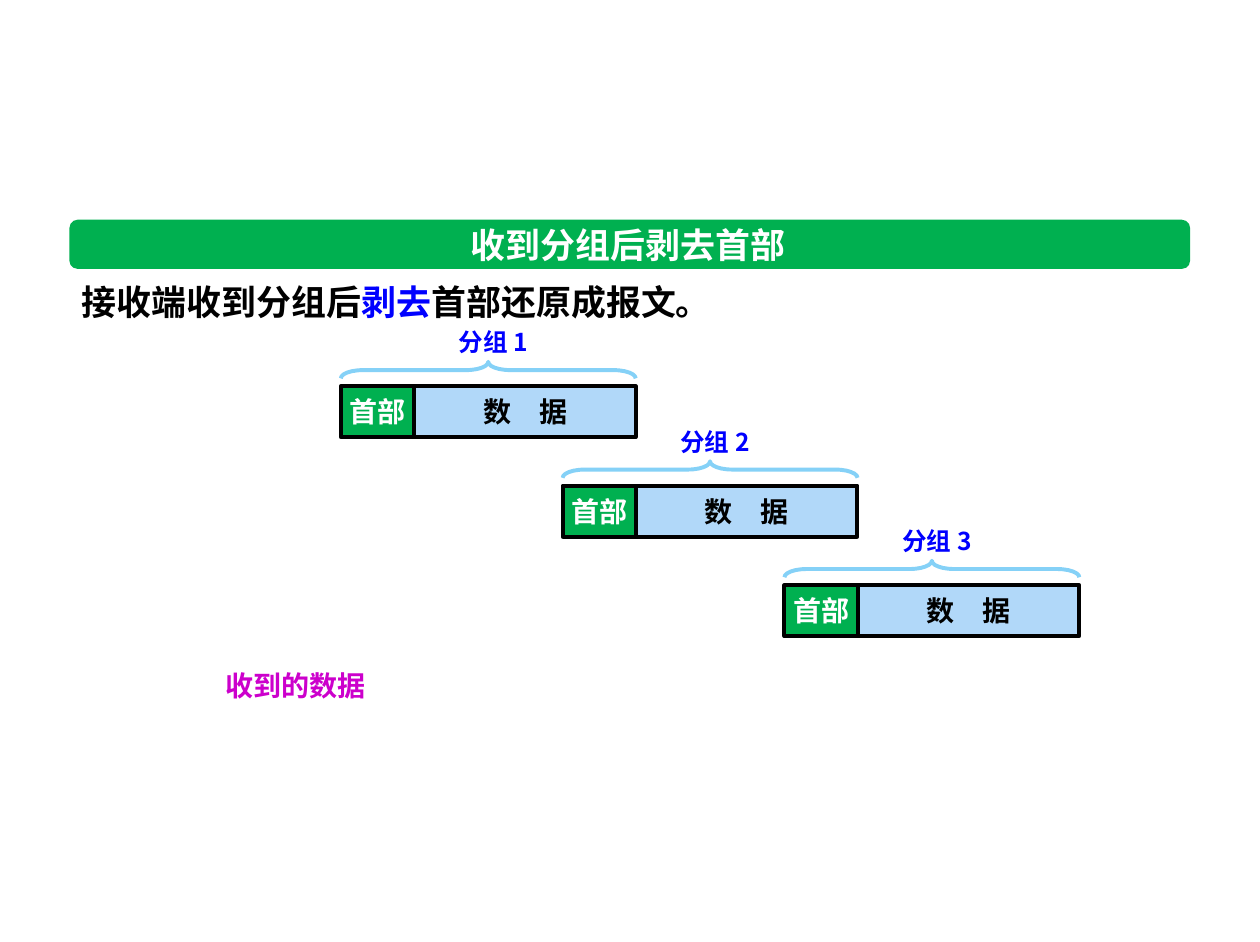
from dataclasses import dataclass

from lxml import etree
from pptx import Presentation
from pptx.dml.color import RGBColor
from pptx.enum.shapes import MSO_SHAPE
from pptx.enum.text import MSO_ANCHOR, PP_ALIGN
from pptx.oxml.ns import qn
from pptx.util import Pt

RECT = MSO_SHAPE.RECTANGLE
ROUNDED = MSO_SHAPE.ROUNDED_RECTANGLE
BRACE = MSO_SHAPE.LEFT_BRACE
MIDDLE, TOP = MSO_ANCHOR.MIDDLE, MSO_ANCHOR.TOP
CENTER, LEFT = PP_ALIGN.CENTER, PP_ALIGN.LEFT


@dataclass(frozen=True)
class Theme:
    green: str = "00B050"
    sky: str = "B1D8F9"
    brace: str = "85D1F7"
    black: str = "000000"
    white: str = "FFFFFF"
    blue: str = "0000FF"
    magenta: str = "CC00CC"
    cjk_font: str = "Noto Sans CJK SC"
    title_font: str = "Calibri"
    heading: float = 19.9
    body: float = 16
    label: float = 14
    line: float = 2.25


@dataclass(frozen=True)
class Box:
    left: float
    top: float
    width: float
    height: float

    def lengths(self) -> list:
        return [Pt(v) for v in (self.left, self.top, self.width, self.height)]


@dataclass(frozen=True)
class Span:
    text: str
    color: str


@dataclass(frozen=True)
class Packet:
    number: int
    left: float
    top: float


THEME = Theme()
SLIDE_W, SLIDE_H = 718, 537
HEADER_W, DATA_W, BAR_H = 42, 126, 29
BRACE_DEPTH, BRACE_RISE = 9.4, 9.2
LABEL_W, LABEL_H, LABEL_RISE = 62, 24.5, 37.6
FIRST_LEFT, FIRST_TOP = 194.2, 220.2
STEP_X, STEP_Y = 126.4, 56.7
PACKETS = [Packet(i + 1, FIRST_LEFT + i * STEP_X, FIRST_TOP + i * STEP_Y)
           for i in range(3)]


def write(s, spans: list[Span], size: float, font: str = THEME.cjk_font,
          align=CENTER, anchor=MIDDLE, wrap: bool = False) -> None:
    """Fill a shape with one bold paragraph of coloured runs."""
    tf = s.text_frame
    tf.word_wrap = wrap
    tf.vertical_anchor = anchor
    p = tf.paragraphs[0]
    p.alignment = align
    for span in spans:
        r = p.add_run()
        r.text = span.text
        r.font.size = Pt(size)
        r.font.bold = True
        r.font.color.rgb = RGBColor.from_string(span.color)
        r.font.name = font
        east_asian = etree.SubElement(r.font._element, qn("a:ea"))
        east_asian.set("typeface", THEME.cjk_font)


def add_preset(sp, kind, box: Box, fill: str = "", line: str = ""):
    s = sp.add_shape(kind, *box.lengths())
    s.shadow.inherit = False
    if fill:
        s.fill.solid()
        s.fill.fore_color.rgb = RGBColor.from_string(fill)
    else:
        s.fill.background()
    if line:
        s.line.color.rgb = RGBColor.from_string(line)
        s.line.width = Pt(THEME.line)
    else:
        s.line.fill.background()
    return s


def add_text(sp, box: Box, spans: list[Span], size: float,
             font: str = THEME.cjk_font, anchor=TOP) -> None:
    s = sp.add_textbox(*box.lengths())
    write(s, spans, size, font, LEFT, anchor, wrap=True)


def add_packet(sp, packet: Packet) -> None:
    """Draw the data and header cells with a labelled brace above them."""
    left, top = packet.left, packet.top
    data = add_preset(sp, RECT, Box(left + HEADER_W, top, DATA_W, BAR_H),
                      THEME.sky, THEME.black)
    write(data, [Span("数　据", THEME.black)], THEME.body)
    header = add_preset(sp, RECT, Box(left, top, HEADER_W, BAR_H),
                        THEME.green, THEME.black)
    write(header, [Span("首部", THEME.white)], THEME.body)

    span = HEADER_W + DATA_W
    middle = left + span / 2
    brace = add_preset(sp, BRACE, Box(middle - BRACE_DEPTH / 2,
                                      top - BRACE_RISE - span / 2,
                                      BRACE_DEPTH, span), line=THEME.brace)
    brace.rotation = 90
    brace.adjustments[0] = 1.34
    brace.adjustments[1] = 0.5
    add_text(sp, Box(left + 60, top - LABEL_RISE, LABEL_W, LABEL_H),
             [Span(f"分组 {packet.number}", THEME.blue)], THEME.label,
             anchor=MIDDLE)


def main() -> None:
    prs = Presentation()
    prs.slide_width = Pt(SLIDE_W)
    prs.slide_height = Pt(SLIDE_H)
    sp = prs.slides.add_slide(prs.slide_layouts[6]).shapes

    add_preset(sp, ROUNDED, Box(39.6, 125.3, 638.6, 28), THEME.green)
    add_text(sp, Box(261.2, 123.7, 196, 31.7),
             [Span("收到分组后剥去首部", THEME.white)], THEME.heading,
             THEME.title_font)
    add_text(sp, Box(39.6, 156.2, 370, 31.7),
             [Span("接收端收到分组后", THEME.black), Span("剥去", THEME.blue),
              Span("首部还原成报文。", THEME.black)], THEME.heading)
    for packet in PACKETS:
        add_packet(sp, packet)
    add_text(sp, Box(121.5, 377.7, 123, 26.6),
             [Span("收到的数据", THEME.magenta)], THEME.body)
    prs.save("out.pptx")


if __name__ == "__main__":
    main()
